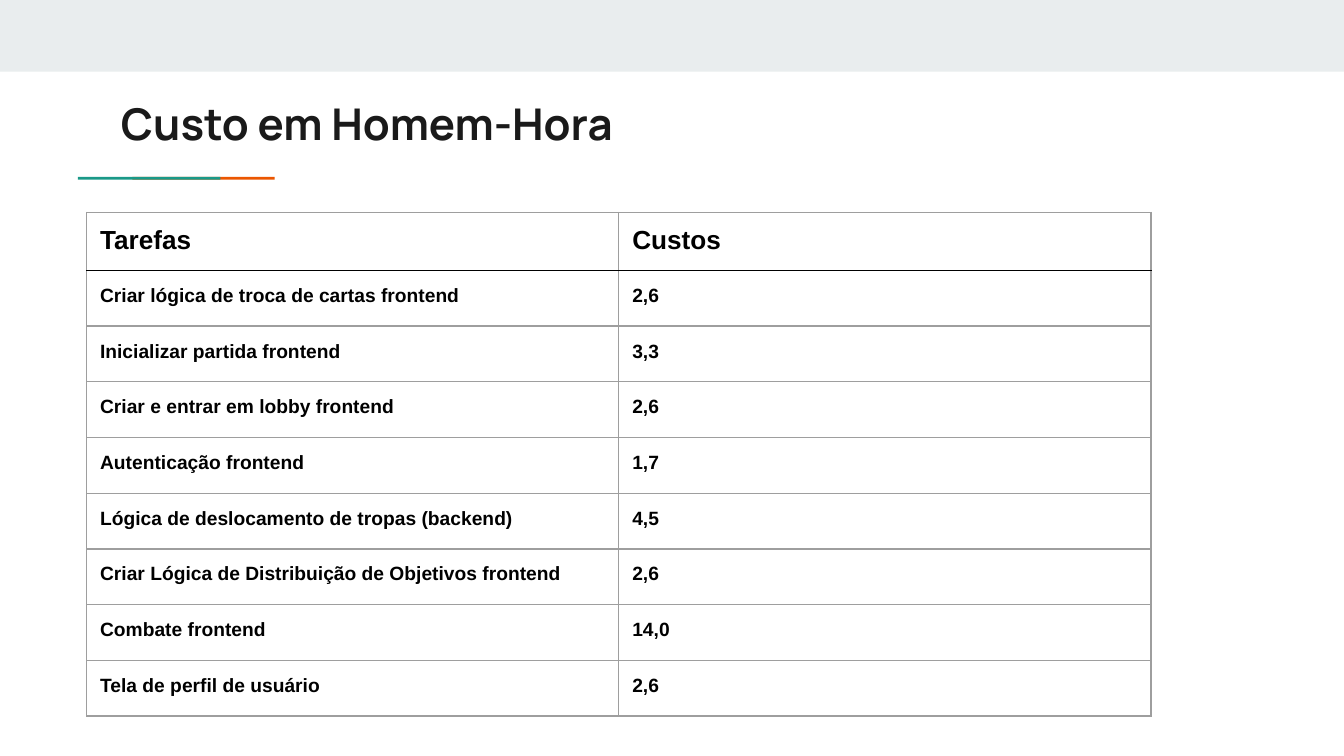
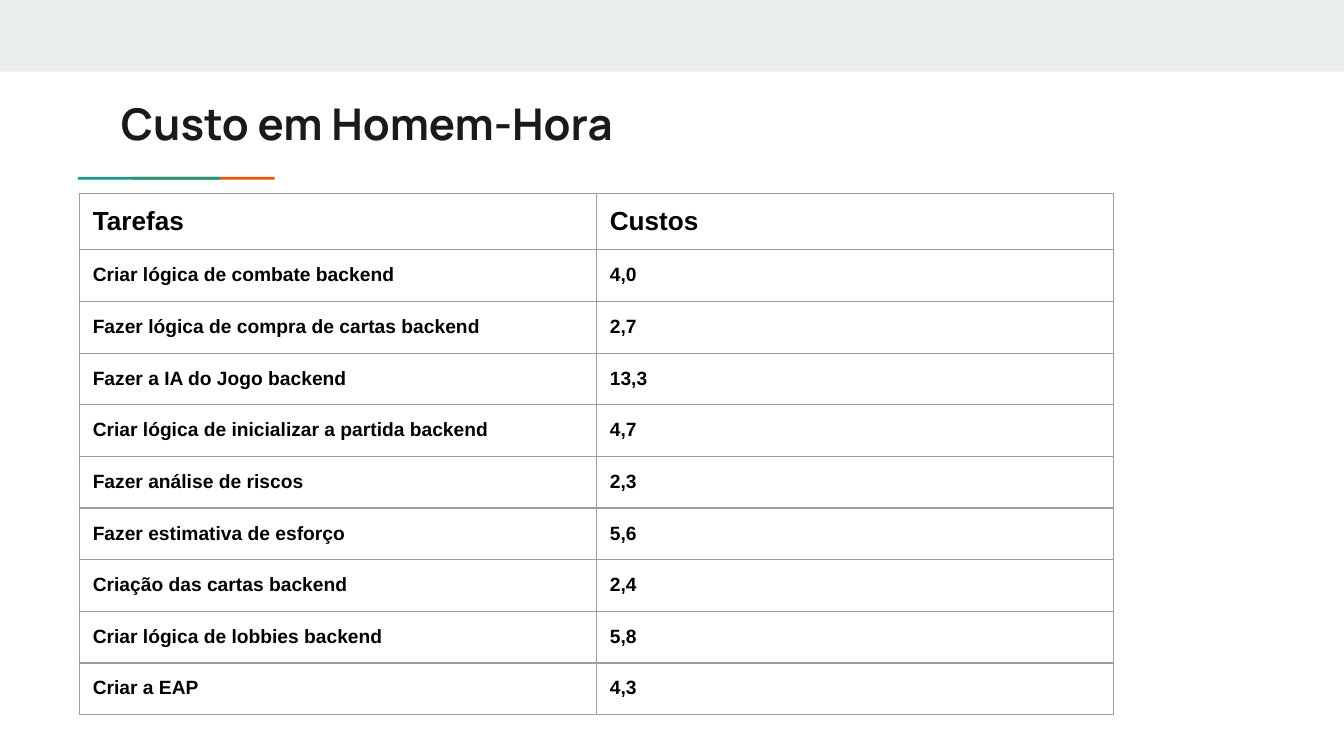
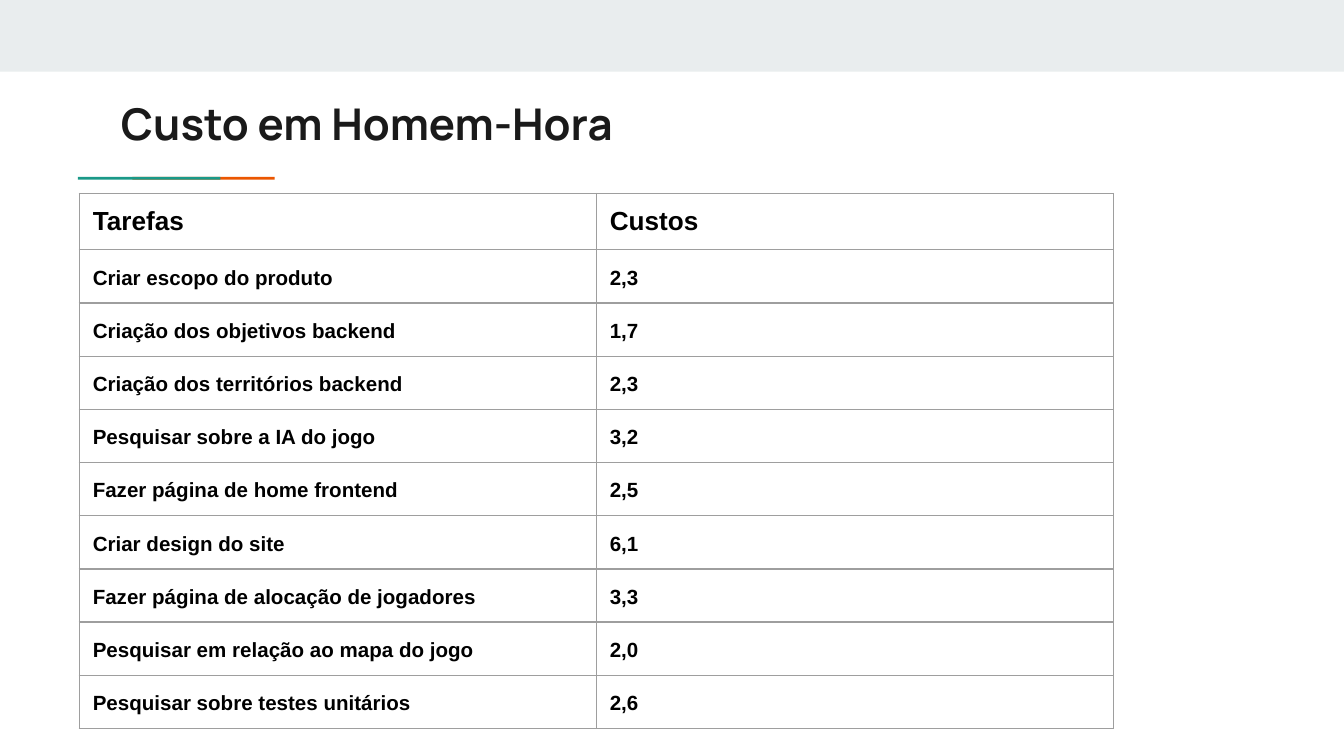
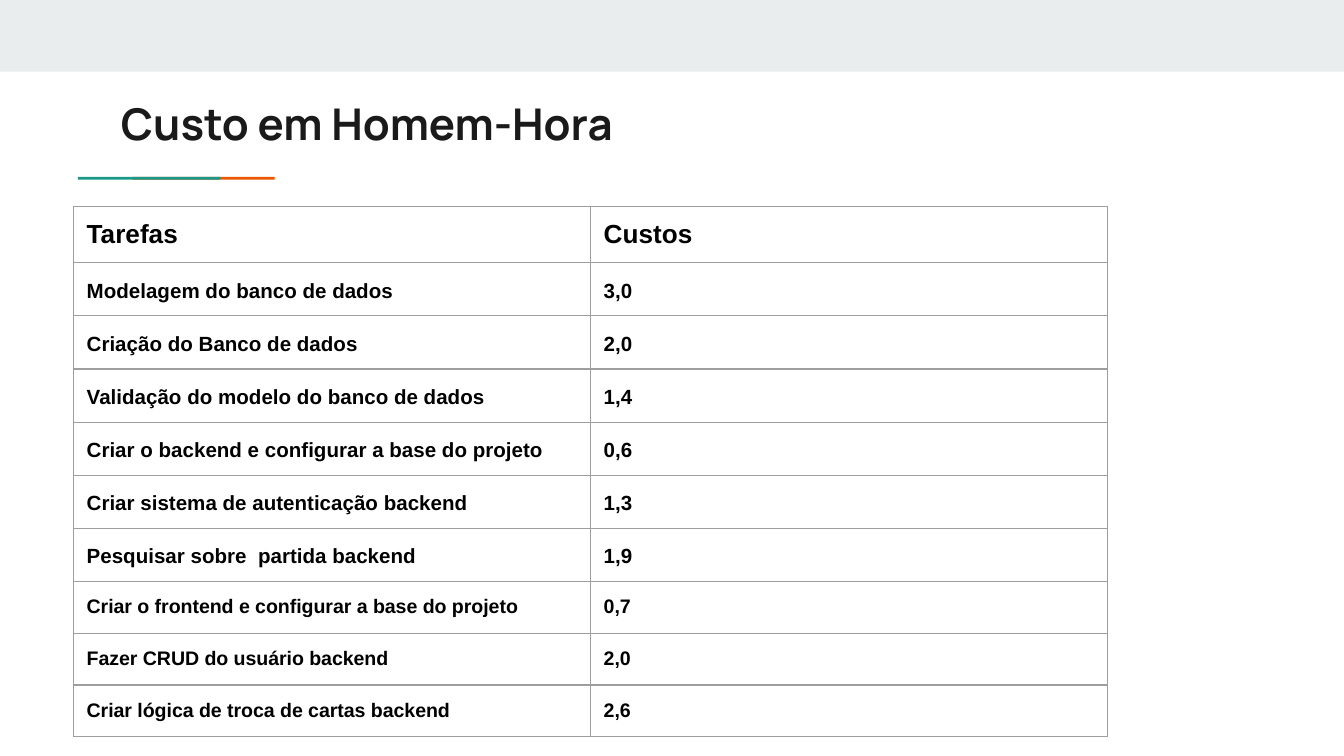
from dataclasses import dataclass

from lxml import etree
from pptx import Presentation
from pptx import util as u
from pptx.dml.color import RGBColor
from pptx.enum import shapes, text
from pptx.oxml.ns import qn

BAND_GREY = RGBColor(0xE9, 0xED, 0xEE)
TEAL = RGBColor(0x1A, 0x99, 0x88)
ORANGE = RGBColor(0xEB, 0x56, 0x00)
TITLE_INK = RGBColor(0x1A, 0x1A, 0x1A)
BLACK = RGBColor(0x00, 0x00, 0x00)
BORDER_GREY = RGBColor(0x9E, 0x9E, 0x9E)

UNIT = u.Inches(0.1)
COLUMNS, ROWS = 100, 56.25
MARGIN = u.Inches(0.1)
TITLE = "Custo em Homem-Hora"
TITLE_BOX = (8, 6.2, 84.1, 5.9)
HEADINGS = ("Tarefas", "Custos")


@dataclass
class TaskStyle:
    """Text size and line spacing of a run of task rows."""
    size: float
    spacing: float


COMPACT = TaskStyle(10.3, 1.05)
MEDIUM = TaskStyle(10.5, 1.05)
LARGE = TaskStyle(11, 1.15)
HEADING = TaskStyle(14, 1)

COST_SLIDES = [
    {
        "box": (6.45, 15.8, 79.2, 37.5),
        "heading_rows": 4.32,
        "rule": BLACK,
        "groups": [(COMPACT, [
            ("Criar lógica de troca de cartas frontend", "2,6"),
            ("Inicializar partida frontend", "3,3"),
            ("Criar e entrar em lobby frontend", "2,6"),
            ("Autenticação frontend", "1,7"),
            ("Lógica de deslocamento de tropas (backend)", "4,5"),
            ("Criar Lógica de Distribuição de Objetivos frontend", "2,6"),
            ("Combate frontend", "14,0"),
            ("Tela de perfil de usuário", "2,6"),
        ])],
    },
    {
        "box": (5.9, 14.4, 76.95, 38.75),
        "heading_rows": 4.15,
        "rule": BORDER_GREY,
        "groups": [(COMPACT, [
            ("Criar lógica de combate backend", "4,0"),
            ("Fazer lógica de compra de cartas backend", "2,7"),
            ("Fazer a IA do Jogo backend", "13,3"),
            ("Criar lógica de inicializar a partida backend", "4,7"),
            ("Fazer análise de riscos", "2,3"),
            ("Fazer estimativa de esforço", "5,6"),
            ("Criação das cartas backend", "2,4"),
            ("Criar lógica de lobbies backend", "5,8"),
            ("Criar a EAP", "4,3"),
        ])],
    },
    {
        "box": (5.9, 14.4, 76.95, 38.75),
        "heading_rows": 4.15,
        "rule": BORDER_GREY,
        "groups": [(LARGE, [
            ("Criar escopo do produto", "2,3"),
            ("Criação dos objetivos backend", "1,7"),
            ("Criação dos territórios backend", "2,3"),
            ("Pesquisar sobre a IA do jogo", "3,2"),
            ("Fazer página de home frontend", "2,5"),
            ("Criar design do site", "6,1"),
            ("Fazer página de alocação de jogadores", "3,3"),
            ("Pesquisar em relação ao mapa do jogo", "2,0"),
            ("Pesquisar sobre testes unitários", "2,6"),
        ])],
    },
    {
        "box": (5.45, 15.36, 76.95, 38.75),
        "heading_rows": 4.15,
        "rule": BORDER_GREY,
        "groups": [
            (LARGE, [
                ("Modelagem do banco de dados", "3,0"),
                ("Criação do Banco de dados", "2,0"),
                ("Validação do modelo do banco de dados", "1,4"),
                ("Criar o backend e configurar a base do projeto", "0,6"),
                ("Criar sistema de autenticação backend", "1,3"),
                ("Pesquisar sobre  partida backend", "1,9"),
            ]),
            (MEDIUM, [
                ("Criar o frontend e configurar a base do projeto", "0,7"),
                ("Fazer CRUD do usuário backend", "2,0"),
                ("Criar lógica de troca de cartas backend", "2,6"),
            ]),
        ],
    },
]


def grid(*lengths):
    """Turn grid columns and rows into slide lengths."""
    return [u.Emu(round(length * UNIT)) for length in lengths]


def format_font(font, name, size, color):
    """Set a bold font."""
    font.name, font.size, font.bold = name, u.Pt(size), True
    font.color.rgb = color


def set_margins(holder):
    """Give a text frame or a cell equal margins."""
    holder.margin_left = holder.margin_right = MARGIN
    holder.margin_top = holder.margin_bottom = MARGIN


def add_decor(slide, layout):
    """Draw the top band and the two overlapping rules, and hand them to the layout."""
    decor = [
        ((0, 0, COLUMNS, 5.33), BAND_GREY),
        ((9.85, 13.17, 10.6, 0.2), ORANGE),
        ((5.8, 13.17, 10.6, 0.2), TEAL),
    ]
    for position, (box, color) in enumerate(decor, start=2):
        shape = slide.shapes.add_shape(shapes.MSO_SHAPE.RECTANGLE, *grid(*box))
        shape.shadow.inherit = False
        shape.fill.solid()
        shape.fill.fore_color.rgb = color
        shape.line.fill.background()
        layout.shapes.element.insert(position, shape.element)


def add_title(slide, box):
    """Place and format the title placeholder."""
    title = slide.shapes.title
    title.left, title.top, title.width, title.height = grid(*box)
    frame = title.text_frame
    frame.text = TITLE
    frame.auto_size = text.MSO_AUTO_SIZE.NONE
    frame.vertical_anchor = text.MSO_ANCHOR.TOP
    set_margins(frame)
    paragraph = frame.paragraphs[0]
    paragraph.alignment = text.PP_ALIGN.LEFT
    format_font(paragraph.runs[0].font, "Manrope", 23.4, TITLE_INK)


def set_borders(cell, top, bottom):
    """Outline a cell with thin lines."""
    properties = cell._tc.get_or_add_tcPr()
    sides = {"L": BORDER_GREY, "R": BORDER_GREY, "T": top, "B": bottom}
    for side, color in sides.items():
        line = etree.SubElement(properties, qn(f"a:ln{side}"), w=str(u.Pt(0.75)))
        fill = etree.SubElement(line, qn("a:solidFill"))
        etree.SubElement(fill, qn("a:srgbClr"), val=str(color))


def fill_cell(cell, words, style):
    """Write and format the text of one cell."""
    cell.text_frame.text = words
    set_margins(cell)
    cell.fill.background()
    paragraph = cell.text_frame.paragraphs[0]
    paragraph.line_spacing = style.spacing
    format_font(paragraph.runs[0].font, "Arial", style.size, BLACK)


def add_cost_table(slide, box, heading_rows, rule, groups):
    """Add the table of tasks and costs inside the box."""
    lines = [(HEADING, HEADINGS)]
    lines += [(style, task) for style, tasks in groups for task in tasks]
    frame = slide.shapes.add_table(len(lines), len(HEADINGS), *grid(*box))
    table = frame.table
    table.first_row = table.horz_banding = False
    task_rows = (box[3] - heading_rows) / (len(lines) - 1)
    for index, (style, words) in enumerate(lines):
        table.rows[index].height = grid(task_rows if index else heading_rows)[0]
        top = rule if index == 1 else BORDER_GREY
        bottom = rule if index == 0 else BORDER_GREY
        for cell, word in zip(table.rows[index].cells, words):
            set_borders(cell, top, bottom)
            fill_cell(cell, word, style)


def main():
    """Build the cost slides."""
    presentation = Presentation()
    presentation.slide_width, presentation.slide_height = grid(COLUMNS, ROWS)
    layout = presentation.slide_layouts.get_by_name("Title Only")
    for index, content in enumerate(COST_SLIDES):
        slide = presentation.slides.add_slide(layout)
        if index == 0:
            add_decor(slide, layout)
        add_title(slide, TITLE_BOX)
        add_cost_table(slide, **content)
    presentation.save("out.pptx")


if __name__ == "__main__":
    main()
